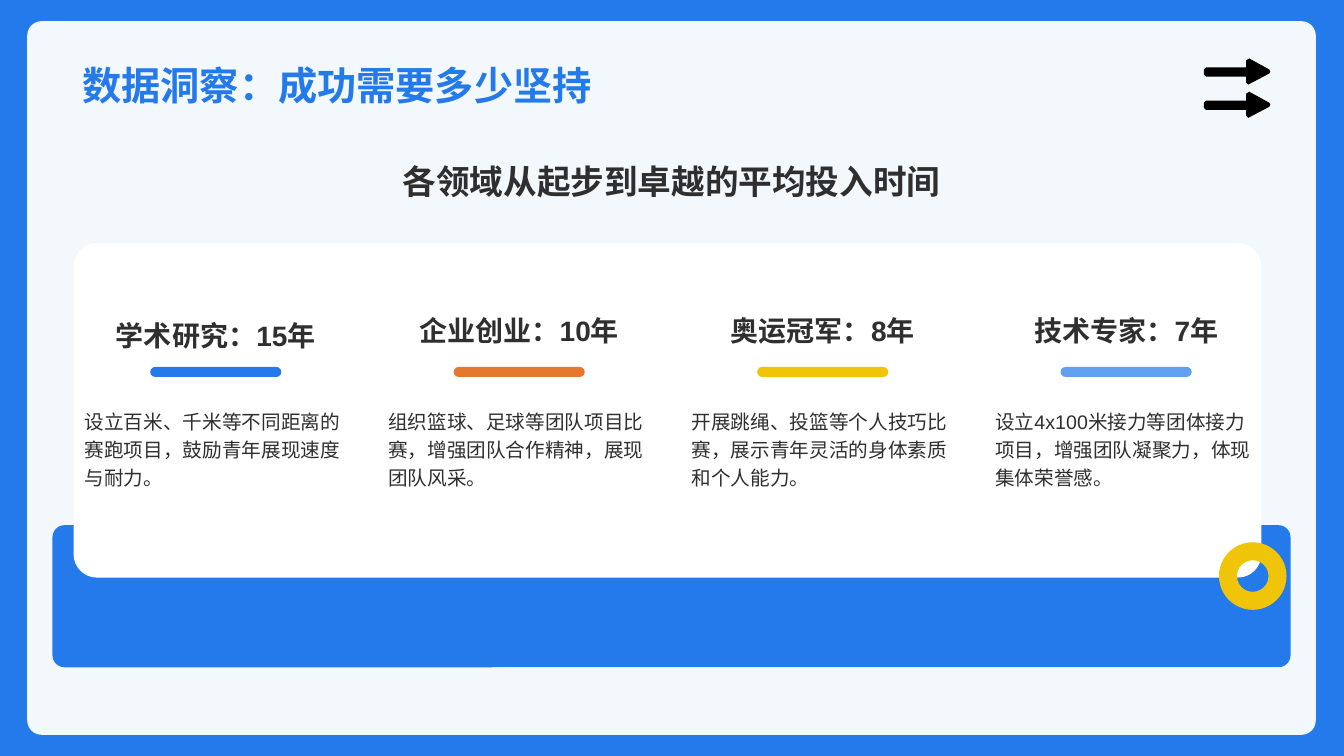
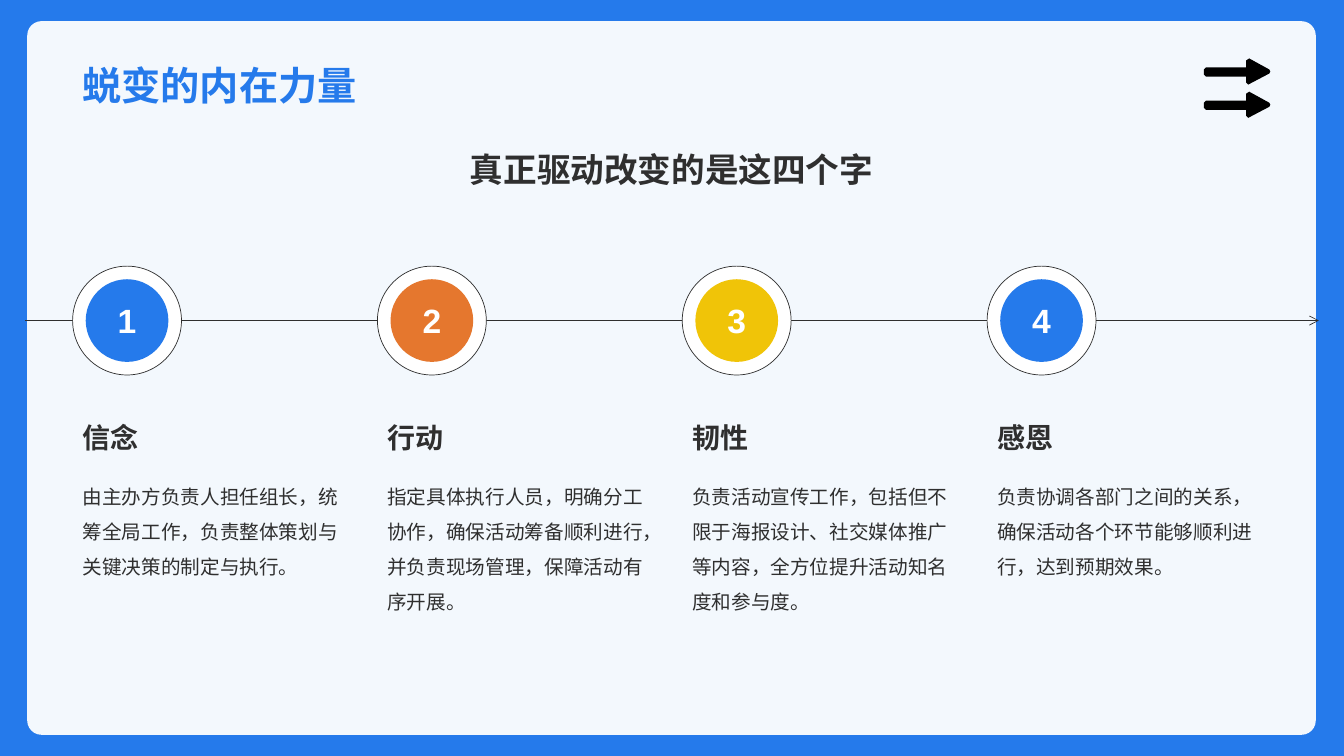
"""Build two slides on perseverance: years of effort by field, and four inner strengths."""
import lxml.etree
import pptx
import pptx.dml.color
import pptx.enum.dml
import pptx.enum.lang
import pptx.enum.shapes
import pptx.enum.text
import pptx.oxml.ns
import pptx.util

Inches = pptx.util.Inches
RGBColor = pptx.dml.color.RGBColor
Shape = pptx.enum.shapes.MSO_SHAPE
Anchor = pptx.enum.text.MSO_ANCHOR
Align = pptx.enum.text.PP_ALIGN
qn = pptx.oxml.ns.qn

BLUE = RGBColor(0x25, 0x7A, 0xEB)
ORANGE = RGBColor(0xE5, 0x77, 0x2E)
YELLOW = RGBColor(0xF0, 0xC4, 0x08)
SKY = RGBColor(0x61, 0x9F, 0xF1)
INK = RGBColor(0x2F, 0x2F, 0x2F)
WHITE = RGBColor(0xFF, 0xFF, 0xFF)
BLACK = RGBColor(0, 0, 0)
FONT = "Arial"
LEFT = 0.72
CONTENT_WIDTH = 11.88

ARROW_OUTLINE = [
    (12.59, 0.73), (12.38, 0.84), (12.36, 0.82), (12.36, 0.76),
    (11.96, 0.76), (11.94, 0.74), (11.94, 0.69), (11.96, 0.67),
    (12.36, 0.67), (12.36, 0.6), (12.39, 0.58), (12.59, 0.69), (12.6, 0.71),
]

FIELDS = [
    ("学术研究：15年", "设立百米、千米等不同距离的赛跑项目，鼓励青年展现速度与耐力。", BLUE, 0.05),
    ("企业创业：10年", "组织篮球、足球等团队项目比赛，增强团队合作精神，展现团队风采。", ORANGE, 0.1),
    ("奥运冠军：8年", "开展跳绳、投篮等个人技巧比赛，展示青年灵活的身体素质和个人能力。", YELLOW, 0.1),
    ("技术专家：7年", "设立4x100米接力等团体接力项目，增强团队凝聚力，体现集体荣誉感。", SKY, 0.1),
]

STRENGTHS = [
    ("信念", "由主办方负责人担任组长，统筹全局工作，负责整体策划与关键决策的制定与执行。", BLUE),
    ("行动", "指定具体执行人员，明确分工协作，确保活动筹备顺利进行，并负责现场管理，保障活动有序开展。", ORANGE),
    ("韧性", "负责活动宣传工作，包括但不限于海报设计、社交媒体推广等内容，全方位提升活动知名度和参与度。", YELLOW),
    ("感恩", "负责协调各部门之间的关系，确保活动各个环节能够顺利进行，达到预期效果。", BLUE),
]


def write(box, text, *, size, color=INK, bold=False, align=Align.LEFT,
          anchor=Anchor.TOP, spacing=1.0, insets=(0.1, 0.05), wrap=True):
    """Put one formatted paragraph into a shape; insets are horizontal and vertical."""
    frame = box.text_frame
    frame.word_wrap = wrap
    frame.vertical_anchor = anchor
    frame.margin_left = frame.margin_right = Inches(insets[0])
    frame.margin_top = frame.margin_bottom = Inches(insets[1])
    para = frame.paragraphs[0]
    para.alignment = align
    para.line_spacing = spacing
    span = para.add_run()
    span.text = text
    span.font.size = pptx.util.Pt(size)
    span.font.bold = bold
    span.font.name = FONT
    span.font.color.rgb = color
    span.font.language_id = pptx.enum.lang.MSO_LANGUAGE_ID.SIMPLIFIED_CHINESE
    east_asian = lxml.etree.SubElement(span.font._element, qn("a:ea"))
    east_asian.set("typeface", FONT)


def add_text(page, place, text, **style):
    """Add a text box at (left, top, width, height)."""
    write(page.shapes.add_textbox(*map(Inches, place)), text, **style)


def paint(shape, fill, line=None):
    """Give a shape a plain fill, an optional thin line and no shadow."""
    shape.shadow.inherit = False
    shape.fill.solid()
    shape.fill.fore_color.rgb = fill
    if line is None:
        shape.line.fill.background()
    else:
        shape.line.color.rgb = line
        shape.line.width = pptx.util.Pt(0.5)


def add_shape(page, kind, place, fill, line=None, adjust=None):
    """Add a painted preset shape at (left, top, width, height)."""
    shape = page.shapes.add_shape(kind, *map(Inches, place))
    paint(shape, fill, line)
    if adjust is not None:
        shape.adjustments[0] = adjust
    return shape


def add_corner_arrow(page, drop):
    """Add one black corner arrow, moved down by drop."""
    points = [(Inches(x), Inches(y + drop)) for x, y in ARROW_OUTLINE]
    builder = page.shapes.build_freeform(*points[0])
    builder.add_line_segments(points[1:], close=True)
    paint(builder.convert_to_shape(), BLACK)


def add_page(deck, title, subtitle, subtitle_top):
    """Add a page with the shared frame, corner arrows, title and subtitle."""
    page = deck.slides.add_slide(deck.slide_layouts[6])
    page.background.fill.solid()
    page.background.fill.fore_color.rgb = BLUE
    panel = add_shape(page, Shape.ROUNDED_RECTANGLE, (0.27, 0.21, 12.78, 7.08),
                      WHITE, adjust=0.02)
    color = panel._element.spPr.find(qn("a:solidFill")).find(qn("a:srgbClr"))
    lxml.etree.SubElement(color, qn("a:alpha")).set("val", "95000")
    for drop in (0, 0.33):
        add_corner_arrow(page, drop)
    add_text(page, (LEFT, 0.14, CONTENT_WIDTH, 0.98), title, size=28,
             color=BLUE, bold=True, anchor=Anchor.BOTTOM)
    add_text(page, (LEFT, subtitle_top, CONTENT_WIDTH, 0.6), subtitle, size=24,
             bold=True, align=Align.CENTER)
    return page


def add_timeline(page):
    """Add the thin arrow that runs behind the numbered circles."""
    line = page.shapes.add_connector(
        pptx.enum.shapes.MSO_CONNECTOR.STRAIGHT,
        Inches(0.25), Inches(3.18), Inches(13.08), Inches(3.18))
    line.line.color.rgb = INK
    line.line.width = pptx.util.Pt(0.5)
    outline = line.line._get_or_add_ln()
    lxml.etree.SubElement(outline, qn("a:tailEnd")).set("type", "arrow")
    lxml.etree.SubElement(line._element.spPr, qn("a:effectLst"))


def add_field(page, left, heading, body, color, inset):
    """Add one field column: heading, colour bar and description."""
    width = 2.84
    bar_width = 1.3
    add_text(page, (left, 2.57, width, 0.97), heading, size=20, bold=True,
             align=Align.CENTER, anchor=Anchor.BOTTOM, insets=(0.1, inset))
    add_shape(page, Shape.ROUNDED_RECTANGLE,
              (left + (width - bar_width) / 2, 3.64, bar_width, 0.1),
              color, adjust=0.5)
    add_text(page, (left, 3.9, width, 1.64), body, size=14, spacing=1.2,
             insets=(0.12, 0.12))


def add_strength(page, left, width, number, heading, body, color):
    """Add one strength column: numbered circle, heading and description."""
    add_text(page, (left, 3.73, width, 0.82), heading, size=20, bold=True,
             anchor=Anchor.BOTTOM, spacing=1.4)
    add_text(page, (left, 4.64, width, 1.84), body, size=14, spacing=1.5)
    add_shape(page, Shape.OVAL, (left, 2.64, 1.08, 1.08), WHITE, line=INK)
    disc = add_shape(page, Shape.OVAL, (left + 0.13, 2.77, 0.82, 0.82), color)
    write(disc, str(number), size=24, color=WHITE, bold=True, wrap=False,
          align=Align.CENTER, anchor=Anchor.MIDDLE, insets=(0.07, 0.04))


def build_fields_page(deck):
    """Build the page that compares years of effort across fields."""
    page = add_page(deck, "数据洞察：成功需要多少坚持", "各领域从起步到卓越的平均投入时间", 1.55)
    add_shape(page, Shape.ROUNDED_RECTANGLE, (0.52, 5.21, 12.28, 1.41), BLUE, adjust=0.085)
    add_shape(page, Shape.ROUNDED_RECTANGLE, (0.73, 2.41, 11.78, 3.32), WHITE, adjust=0.07)
    for index, field in enumerate(FIELDS):
        add_field(page, LEFT + index * 3.01, *field)
    add_shape(page, Shape.DONUT, (12.09, 5.38, 0.67, 0.67), YELLOW, adjust=0.266)


def build_strengths_page(deck):
    """Build the page with four numbered strengths along a timeline."""
    page = add_page(deck, "蜕变的内在力量", "真正驱动改变的是这四个字", 1.43)
    add_timeline(page)
    width = 2.81
    pitch = (CONTENT_WIDTH - width) / (len(STRENGTHS) - 1)
    for index, strength in enumerate(STRENGTHS):
        add_strength(page, LEFT + index * pitch, width, index + 1, *strength)


def main():
    """Create the deck and save it."""
    deck = pptx.Presentation()
    deck.slide_width = Inches(13.33)
    deck.slide_height = Inches(7.5)
    build_fields_page(deck)
    build_strengths_page(deck)
    deck.save("out.pptx")


if __name__ == "__main__":
    main()
